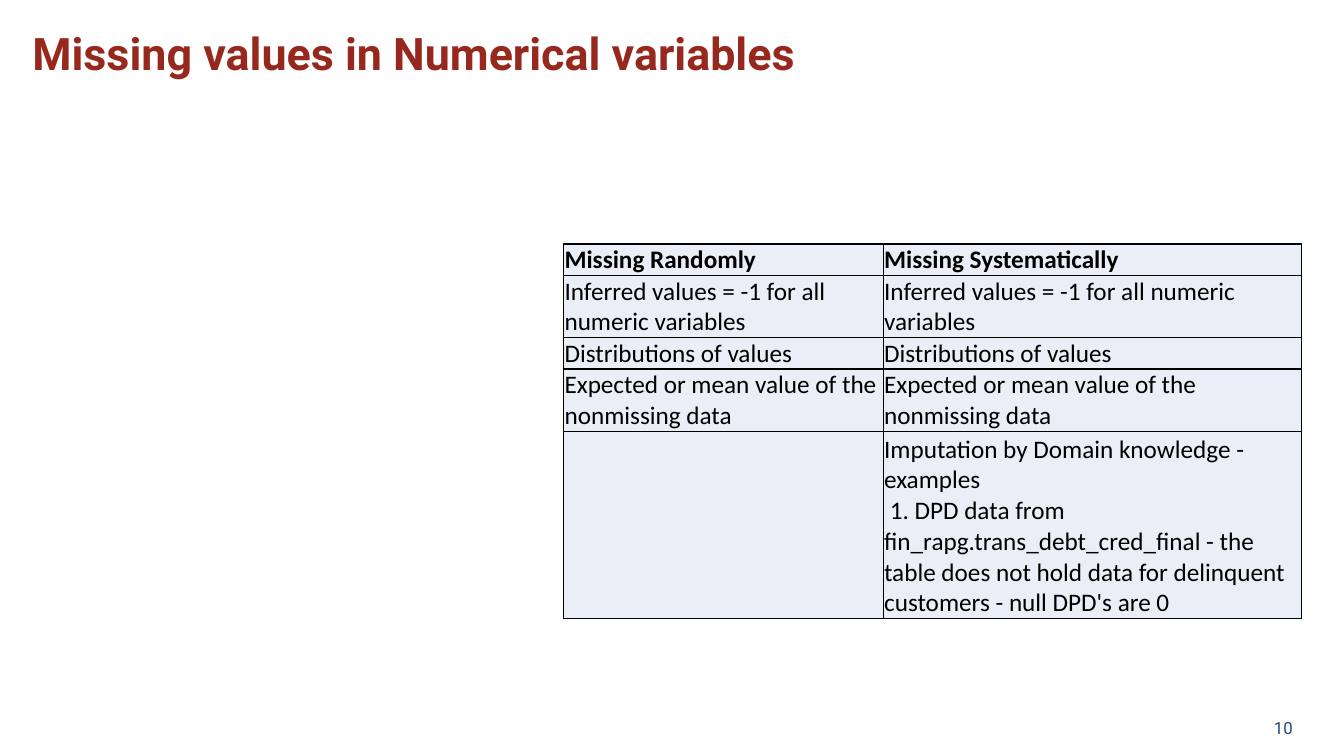
from lxml import etree
from pptx import Presentation
from pptx.dml.color import RGBColor
from pptx.enum.text import MSO_ANCHOR, MSO_AUTO_SIZE, PP_ALIGN
from pptx.oxml.ns import qn
from pptx.util import Inches, Pt

LEFT, RIGHT = PP_ALIGN.LEFT, PP_ALIGN.RIGHT
TOP, MIDDLE, BOTTOM = MSO_ANCHOR.TOP, MSO_ANCHOR.MIDDLE, MSO_ANCHOR.BOTTOM
NO_AUTOFIT = MSO_AUTO_SIZE.NONE
BLACK = RGBColor(0x00, 0x00, 0x00)
BRICK = RGBColor(0x97, 0x28, 0x1D)
NAVY = RGBColor(0x1F, 0x49, 0x7D)
PALE_BLUE = RGBColor(0xEA, 0xEF, 0xF7)
TITLE_ONLY = 5
GRID = 100
LINE_ROWS = 4.13

INFERRED = "Inferred values = -1 for all numeric variables"
DISTRIBUTIONS = "Distributions of values"
EXPECTED = "Expected or mean value of the nonmissing data"
IMPUTATION = (
    "Imputation by Domain knowledge - examples\n"
    " 1. DPD data from fin_rapg.trans_debt_cred_final - the table does not "
    "hold data for delinquent customers - null DPD's are 0"
)
TREATMENTS = [
    ("Missing Randomly", "Missing Systematically"),
    (INFERRED, INFERRED),
    (DISTRIBUTIONS, DISTRIBUTIONS),
    (EXPECTED, EXPECTED),
    ("", IMPUTATION),
]
LINES_PER_ROW = [1, 2, 1, 2, 6]


def write_text(frame, text, font="Calibri", size=18, color=BLACK, bold=False,
               align=LEFT, anchor=TOP):
    frame.word_wrap = True
    frame.vertical_anchor = anchor
    paragraph = frame.paragraphs[0]
    paragraph.text = text
    paragraph.alignment = align
    for run in paragraph.runs:
        run.font.name = font
        run.font.size = Pt(size)
        run.font.bold = bold
        run.font.color.rgb = color
    return paragraph


class SlideBuilder:
    def __init__(self, presentation, heading_font="Roboto", border=BLACK, fill=PALE_BLUE):
        self.column = presentation.slide_width / GRID
        self.row = presentation.slide_height / GRID
        self.slide = presentation.slides.add_slide(presentation.slide_layouts[TITLE_ONLY])
        self.heading_font = heading_font
        self.border = border
        self.fill = fill

    def place(self, left, top, width, height):
        return (round(left * self.column), round(top * self.row),
                round(width * self.column), round(height * self.row))

    def title(self, text, *box):
        shape = self.slide.shapes.title
        shape.left, shape.top, shape.width, shape.height = self.place(*box)
        shape.text_frame.auto_size = NO_AUTOFIT
        paragraph = write_text(shape.text_frame, text, font=self.heading_font,
                               size=32, color=BRICK, bold=True)
        paragraph.line_spacing = 0.9
        paragraph.space_before = Pt(10)

    def page_number(self, text, *box):
        shape = self.slide.shapes.add_textbox(*self.place(*box))
        write_text(shape.text_frame, text, font=self.heading_font, size=12,
                   color=NAVY, align=RIGHT, anchor=MIDDLE)

    def outline(self, cell):
        properties = cell._tc.get_or_add_tcPr()
        for position, side in enumerate(("a:lnL", "a:lnR", "a:lnT", "a:lnB")):
            line = etree.Element(qn(side), w=str(Pt(1)))
            solid = etree.SubElement(line, qn("a:solidFill"))
            etree.SubElement(solid, qn("a:srgbClr"), val=str(self.border))
            properties.insert(position, line)

    def table(self, contents, left, top, widths, heights):
        box = self.place(left, top, sum(widths), sum(heights))
        table = self.slide.shapes.add_table(len(heights), len(widths), *box).table
        table.first_row = table.horz_banding = False
        for column, width in zip(table.columns, widths):
            column.width = round(width * self.column)
        for row, height in zip(table.rows, heights):
            row.height = round(height * self.row)
        for row_index, texts in enumerate(contents):
            for column_index, text in enumerate(texts):
                cell = table.cell(row_index, column_index)
                cell.margin_left = cell.margin_right = cell.margin_top = Inches(0.01)
                cell.margin_bottom = 0
                cell.vertical_anchor = BOTTOM
                cell.fill.solid()
                cell.fill.fore_color.rgb = self.fill
                self.outline(cell)
                write_text(cell.text_frame, text, bold=row_index == 0, anchor=None)


def main():
    presentation = Presentation()
    presentation.slide_width = Inches(13.33)
    presentation.slide_height = Inches(7.5)
    builder = SlideBuilder(presentation)
    builder.title("Missing values in Numerical variables", 1.65, 3.47, 95.87, 10.93)
    builder.page_number("10", 91.9, 93.6, 5.03, 5.33)
    builder.table(TREATMENTS, 41.93, 32.27, [23.78, 31.13],
                  [lines * LINE_ROWS for lines in LINES_PER_ROW])
    presentation.save("out.pptx")


if __name__ == "__main__":
    main()
